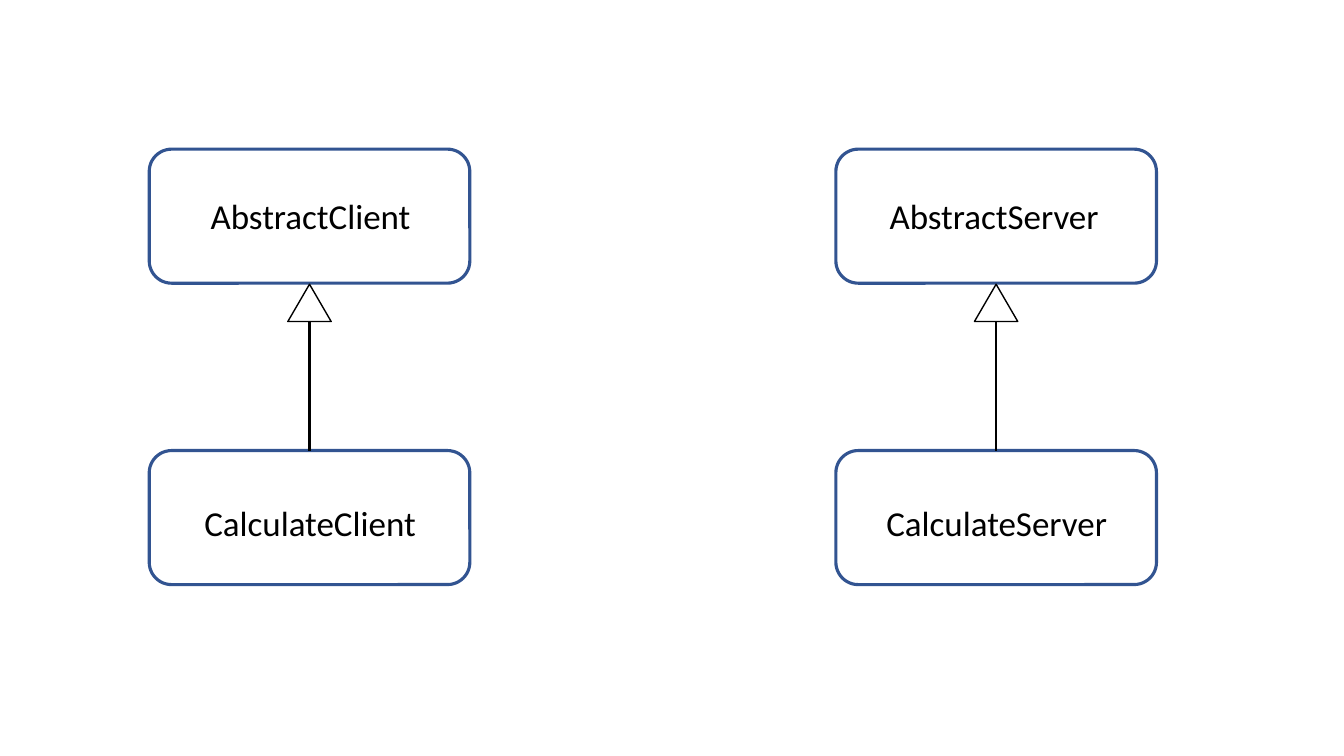
from pptx import Presentation
from pptx.dml.color import RGBColor
from pptx.enum.shapes import MSO_CONNECTOR, MSO_SHAPE
from pptx.enum.text import MSO_ANCHOR, MSO_AUTO_SIZE, PP_ALIGN
from pptx.oxml.ns import qn
from pptx.util import Inches, Pt
from lxml import etree

ROUNDED = MSO_SHAPE.ROUNDED_RECTANGLE
TRIANGLE = MSO_SHAPE.ISOSCELES_TRIANGLE
STRAIGHT = MSO_CONNECTOR.STRAIGHT
CENTER, MIDDLE = PP_ALIGN.CENTER, MSO_ANCHOR.MIDDLE
FIT_SHAPE = MSO_AUTO_SIZE.SHAPE_TO_FIT_TEXT

BLUE, BLACK = "325491", "000000"
BOX_W, BOX_H = 3.18, 1.33
PARENT_TOP, CHILD_TOP = 1.48, 4.47
HEAD_W, HEAD_H, HEAD_TOP = 0.43, 0.37, 2.82
LABEL_H = 0.52


def style_line(line, color, width):
    line.color.rgb = RGBColor.from_string(color)
    line.width = Pt(width)


def add_outline(preset, left, top, width, height, color, weight):
    outline = slide.shapes.add_shape(
        preset, Inches(left), Inches(top), Inches(width), Inches(height))
    outline.shadow.inherit = False
    outline.fill.background()
    style_line(outline.line, color, weight)


prs = Presentation()
prs.slide_width, prs.slide_height = Inches(13.33), Inches(7.5)
slide = prs.slides.add_slide(prs.slide_layouts[6])

# Each hierarchy: box left, then (class name, label left, label width)
hierarchies = [
    (1.48, ("AbstractClient", 1.94, 2.28), ("CalculateClient", 1.92, 2.31)),
    (8.29, ("AbstractServer", 8.68, 2.36), ("CalculateServer", 8.68, 2.41)),
]

for box_left, parent, child in hierarchies:
    # Class boxes
    for box_top in (PARENT_TOP, CHILD_TOP):
        add_outline(ROUNDED, box_left, box_top, BOX_W, BOX_H, BLUE, 2.25)

    # Class names
    for (class_name, left, width), top in ((parent, 1.88), (child, 4.92)):
        label = slide.shapes.add_textbox(
            Inches(left), Inches(top), Inches(width), Inches(LABEL_H))
        frame = label.text_frame
        frame.word_wrap = False
        frame.auto_size = FIT_SHAPE
        frame.vertical_anchor = MIDDLE
        paragraph = frame.paragraphs[0]
        paragraph.alignment = CENTER
        run = paragraph.add_run()
        run.text = class_name
        run.font.name = "Calibri"
        run.font.size = Pt(25)
        run.font.color.rgb = RGBColor.from_string(BLACK)

    # Inheritance arrow from child up to parent
    axis = box_left + BOX_W / 2
    stem = slide.shapes.add_connector(
        STRAIGHT, Inches(axis), Inches(CHILD_TOP),
        Inches(axis), Inches(HEAD_TOP + HEAD_H))
    style_line(stem.line, BLACK, 1.5)
    etree.SubElement(stem.element.spPr, qn("a:effectLst"))
    add_outline(TRIANGLE, axis - HEAD_W / 2, HEAD_TOP, HEAD_W, HEAD_H, BLACK, 1)

prs.save("out.pptx")
